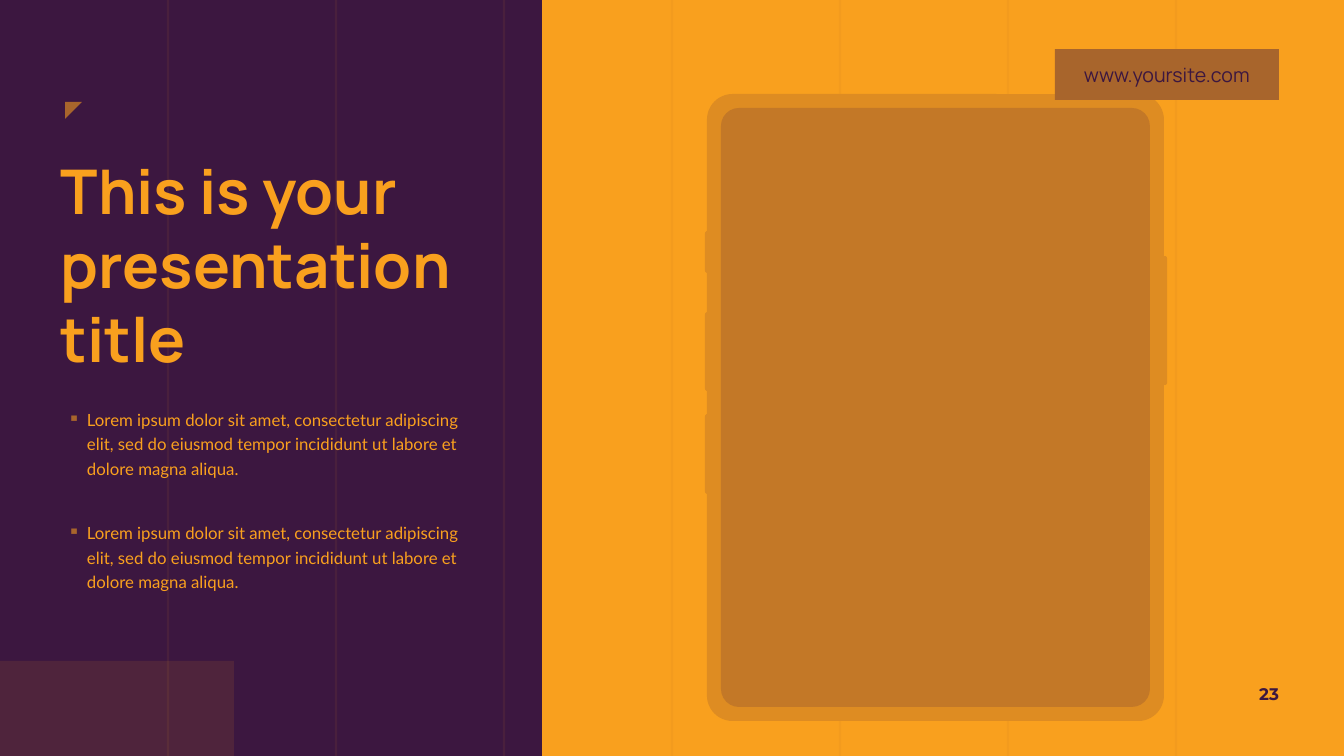
from lxml import etree
from pptx import Presentation
from pptx.dml.color import RGBColor
from pptx.enum.shapes import MSO_CONNECTOR, MSO_SHAPE
from pptx.enum.text import MSO_ANCHOR, PP_ALIGN
from pptx.oxml.ns import qn
from pptx.util import Pt

RECTANGLE = MSO_SHAPE.RECTANGLE
ROUNDED = MSO_SHAPE.ROUNDED_RECTANGLE
TRIANGLE = MSO_SHAPE.RIGHT_TRIANGLE
STRAIGHT = MSO_CONNECTOR.STRAIGHT
TOP, MIDDLE = MSO_ANCHOR.TOP, MSO_ANCHOR.MIDDLE
LEFT, CENTER, RIGHT = PP_ALIGN.LEFT, PP_ALIGN.CENTER, PP_ALIGN.RIGHT

EMU_PER_PX = 914400 / 100.8
WIDTH, HEIGHT = 1344, 756
GUIDE_STEP = 168
COLORS = {
    "purple": "3C1740",
    "orange": "F9A01E",
    "screen": "C37827",
    "frame": "DE8C22",
    "brown": "A8652C",
}
LOREM = (
    "Lorem ipsum dolor sit amet, consectetur adipiscing elit, "
    "sed do eiusmod tempor incididunt ut labore et dolore magna aliqua."
)


def px(length):
    """Turn pixels into EMU."""
    return round(length * EMU_PER_PX)


def color(name):
    """Return the named colour."""
    return RGBColor.from_string(COLORS[name])


def set_opacity(shape, percent):
    """Make the colours of a shape or line see-through."""
    for node in shape._element.spPr.iter(qn("a:srgbClr")):
        etree.SubElement(node, qn("a:alpha"), val=str(percent * 1000))


def add_block(page, kind, area, fill, corner=None):
    """Add a plain filled shape."""
    shape = page.shapes.add_shape(kind, *map(px, area))
    shape.shadow.inherit = False
    shape.fill.solid()
    shape.fill.fore_color.rgb = color(fill)
    shape.line.fill.background()
    if corner is not None:
        shape.adjustments[0] = corner
    return shape


def add_guide(page, x):
    """Add a faint vertical guide line over the full height."""
    guide = page.shapes.add_connector(STRAIGHT, px(x), 0, px(x), px(HEIGHT))
    guide.line.width = Pt(1.5)
    guide.line.color.rgb = color("screen")
    set_opacity(guide, 10)
    etree.SubElement(guide._element.spPr, qn("a:effectLst"))


def add_bullet(para, indent):
    """Give a paragraph a hanging square bullet."""
    properties = para._p.get_or_add_pPr()
    properties.set("marL", str(px(indent)))
    properties.set("indent", str(-px(indent)))
    bullet_color = etree.SubElement(properties, qn("a:buClr"))
    etree.SubElement(bullet_color, qn("a:srgbClr"), val=COLORS["brown"])
    etree.SubElement(properties, qn("a:buChar"), char="▪")


def write(shape, *texts, font, size, ink, bold=False, align=LEFT, anchor=TOP,
          bullet_indent=None, line_spacing=None, gap=0, inset=None):
    """Write formatted paragraphs into a shape."""
    frame = shape.text_frame
    frame.word_wrap = True
    frame.vertical_anchor = anchor
    if inset is not None:
        frame.margin_left = frame.margin_right = px(inset)
        frame.margin_top = frame.margin_bottom = px(inset)
    for index, text in enumerate(texts):
        para = frame.add_paragraph() if index else frame.paragraphs[0]
        if bullet_indent:
            add_bullet(para, bullet_indent)
        para.alignment = align
        if line_spacing:
            para.line_spacing = line_spacing
        if index and gap:
            para.space_before = Pt(gap)
        span = para.add_run()
        span.text = text
        span.font.name = font
        span.font.size = Pt(size)
        span.font.bold = bold
        span.font.color.rgb = color(ink)


def add_text(page, area, *texts, **style):
    """Add a text box with formatted paragraphs."""
    box = page.shapes.add_textbox(*map(px, area))
    write(box, *texts, **style)


def add_tablet(page):
    """Add the tablet with its side keys, frame and screen."""
    side_keys = [(1163, 256, 4, 129), (705, 231, 5, 42),
                 (705, 312, 5, 79), (705, 414, 5, 80)]
    for area in side_keys:
        add_block(page, ROUNDED, area, "frame", corner=0.5)
    add_block(page, ROUNDED, (707, 94, 457, 627), "frame", corner=0.056)
    add_block(page, ROUNDED, (721, 108, 429, 599), "screen", corner=0.042)


def main():
    """Build the slide and save it."""
    deck = Presentation()
    deck.slide_width, deck.slide_height = px(WIDTH), px(HEIGHT)
    page = deck.slides.add_slide(deck.slide_layouts[6])
    page.background.fill.solid()
    page.background.fill.fore_color.rgb = color("purple")

    add_block(page, RECTANGLE, (542, 0, WIDTH - 542, HEIGHT), "orange")
    for x in range(GUIDE_STEP, WIDTH, GUIDE_STEP):
        add_guide(page, x)
    add_text(page, (1244, 674, 45, 40), "23", font="Montserrat", size=12,
             ink="purple", bold=True, align=RIGHT, anchor=MIDDLE)
    corner_block = add_block(page, RECTANGLE, (0, 661, 234, 95), "orange")
    set_opacity(corner_block, 10)
    marker = add_block(page, TRIANGLE, (65, 102, 17, 17), "brown")
    marker.rotation = 90

    add_tablet(page)
    site = add_block(page, RECTANGLE, (1055, 49, 224, 51), "brown")
    write(site, "www.yoursite.com", font="Manrope", size=14, ink="purple",
          align=CENTER, anchor=MIDDLE)
    add_text(page, (68, 406, 405, 186), LOREM, LOREM, font="Lato", size=12,
             ink="orange", bullet_indent=19, line_spacing=1.2, gap=29, inset=0)
    add_text(page, (51, 148, 449, 234), "This is your presentation", "title",
             font="Manrope", size=44, ink="orange", bold=True)
    deck.save("out.pptx")


if __name__ == "__main__":
    main()
